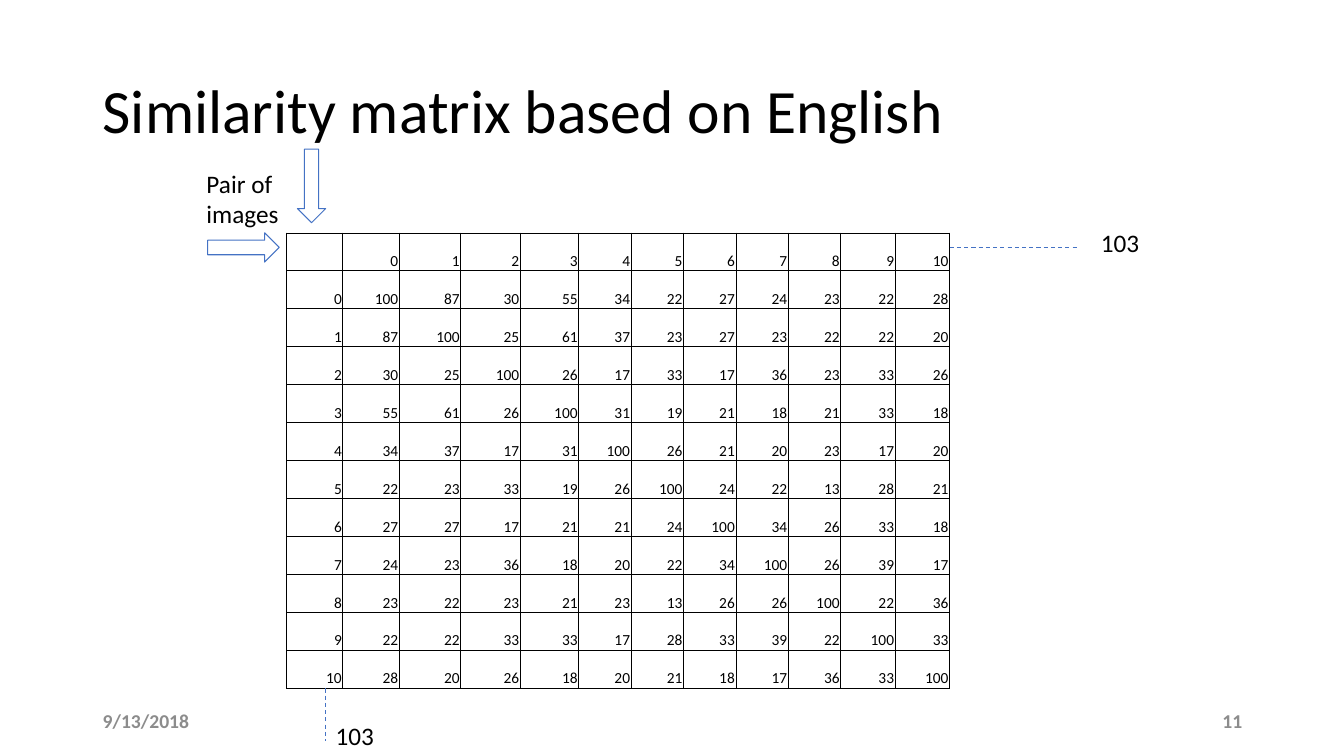
"""Build the slide with the similarity matrix based on English."""
from dataclasses import dataclass

from lxml import etree
from pptx import Presentation
from pptx.dml.color import RGBColor
from pptx.enum.dml import MSO_LINE
from pptx.enum.shapes import MSO_CONNECTOR, MSO_SHAPE
from pptx.enum.text import MSO_ANCHOR, PP_ALIGN
from pptx.oxml.ns import qn
from pptx.slide import Slide
from pptx.table import _Cell
from pptx.text.text import _Paragraph
from pptx.util import Inches, Pt

TOP, MIDDLE, BOTTOM = MSO_ANCHOR.TOP, MSO_ANCHOR.MIDDLE, MSO_ANCHOR.BOTTOM
LEFT, RIGHT = PP_ALIGN.LEFT, PP_ALIGN.RIGHT
RIGHT_ARROW, DOWN_ARROW = MSO_SHAPE.RIGHT_ARROW, MSO_SHAPE.DOWN_ARROW
STRAIGHT, DASH = MSO_CONNECTOR.STRAIGHT, MSO_LINE.DASH

FONT = "Calibri"
COLORS = {"text": "000000", "footer": "8C8C8C", "accent": "4472C4", "border": "000000"}
LINE_WIDTH = Pt(0.75)
BORDER_WIDTH = Pt(0.5)

MATRIX_LEFT, MATRIX_TOP, MATRIX_HEIGHT = 2.84, 2.31, 4.52
COLUMN_WIDTHS = [0.56, 0.56, 0.61, 0.59, 0.58] + [0.52] * 5 + [0.54] * 2
SIMILARITIES = [
    [100, 87, 30, 55, 34, 22, 27, 24, 23, 22, 28],
    [87, 100, 25, 61, 37, 23, 27, 23, 22, 22, 20],
    [30, 25, 100, 26, 17, 33, 17, 36, 23, 33, 26],
    [55, 61, 26, 100, 31, 19, 21, 18, 21, 33, 18],
    [34, 37, 17, 31, 100, 26, 21, 20, 23, 17, 20],
    [22, 23, 33, 19, 26, 100, 24, 22, 13, 28, 21],
    [27, 27, 17, 21, 21, 24, 100, 34, 26, 33, 18],
    [24, 23, 36, 18, 20, 22, 34, 100, 26, 39, 17],
    [23, 22, 23, 21, 23, 13, 26, 26, 100, 22, 36],
    [22, 22, 33, 33, 17, 28, 33, 39, 22, 100, 33],
    [28, 20, 26, 18, 20, 21, 18, 17, 36, 33, 100],
]


@dataclass(frozen=True)
class Label:
    text: str
    left: float
    top: float
    width: float
    height: float
    size: float = 18
    color: str = "text"
    bold: bool = False
    anchor: MSO_ANCHOR = TOP
    align: PP_ALIGN = LEFT
    line_spacing: float = 1.0


@dataclass(frozen=True)
class Arrow:
    kind: MSO_SHAPE
    left: float
    top: float
    width: float
    height: float


@dataclass(frozen=True)
class DashedLine:
    start_x: float
    start_y: float
    end_x: float
    end_y: float


LABELS = [
    Label("Similarity matrix based on English", 0.92, 0.4, 11.5, 1.45,
          size=44, anchor=MIDDLE, line_spacing=0.9),
    Label("9/13/2018", 0.92, 6.95, 3, 0.4,
          size=14, color="footer", bold=True, anchor=MIDDLE),
    Label("11", 9.42, 6.95, 3, 0.4,
          size=14, color="footer", bold=True, anchor=MIDDLE, align=RIGHT),
    Label("Pair of images", 1.95, 1.62, 1.14, 0.71),
    Label("103", 10.82, 2.21, 1, 0.4),
    Label("103", 3.23, 7.1, 1, 0.4),
]
ARROWS = [
    Arrow(RIGHT_ARROW, 2.06, 2.31, 0.71, 0.29),
    Arrow(DOWN_ARROW, 2.95, 1.48, 0.28, 0.73),
]
DASHED_LINES = [
    DashedLine(9.42, 2.46, 10.7, 2.46),
    DashedLine(3.23, 6.83, 3.23, 7.35),
]


def color(name: str) -> RGBColor:
    return RGBColor.from_string(COLORS[name])


def style_paragraph(paragraph: _Paragraph, size: float, color_name: str,
                    bold: bool, align: PP_ALIGN) -> None:
    paragraph.alignment = align
    paragraph.font.name = FONT
    paragraph.font.size = Pt(size)
    paragraph.font.bold = bold
    paragraph.font.color.rgb = color(color_name)


def add_label(slide: Slide, label: Label) -> None:
    shape = slide.shapes.add_textbox(Inches(label.left), Inches(label.top),
                                     Inches(label.width), Inches(label.height))
    frame = shape.text_frame
    frame.word_wrap = True
    frame.vertical_anchor = label.anchor
    paragraph = frame.paragraphs[0]
    paragraph.text = label.text
    paragraph.line_spacing = label.line_spacing
    style_paragraph(paragraph, label.size, label.color, label.bold, label.align)


def add_arrow(slide: Slide, arrow: Arrow) -> None:
    shape = slide.shapes.add_shape(arrow.kind, Inches(arrow.left), Inches(arrow.top),
                                   Inches(arrow.width), Inches(arrow.height))
    shape.shadow.inherit = False
    shape.fill.background()
    shape.line.color.rgb = color("accent")
    shape.line.width = LINE_WIDTH


def add_dashed_line(slide: Slide, line: DashedLine) -> None:
    connector = slide.shapes.add_connector(
        STRAIGHT, Inches(line.start_x), Inches(line.start_y),
        Inches(line.end_x), Inches(line.end_y))
    connector.line.color.rgb = color("accent")
    connector.line.width = LINE_WIDTH
    connector.line.dash_style = DASH
    etree.SubElement(connector._element.spPr, qn("a:effectLst"))


def add_borders(cell: _Cell) -> None:
    properties = cell._tc.get_or_add_tcPr()
    for position, side in enumerate(("a:lnL", "a:lnR", "a:lnT", "a:lnB")):
        border = etree.Element(qn(side), w=str(BORDER_WIDTH))
        fill = etree.SubElement(border, qn("a:solidFill"))
        etree.SubElement(fill, qn("a:srgbClr"), val=COLORS["border"])
        properties.insert(position, border)


def fill_cell(cell: _Cell, value: int | str) -> None:
    cell.margin_left = cell.margin_right = cell.margin_top = Inches(0.01)
    cell.margin_bottom = 0
    cell.vertical_anchor = BOTTOM
    cell.fill.background()
    paragraph = cell.text_frame.paragraphs[0]
    paragraph.text = str(value)
    style_paragraph(paragraph, 11, "text", False, RIGHT)
    add_borders(cell)


def add_matrix(slide: Slide) -> None:
    header = ["", *range(len(SIMILARITIES))]
    rows = [header] + [[index, *values] for index, values in enumerate(SIMILARITIES)]
    frame = slide.shapes.add_table(
        len(rows), len(header), Inches(MATRIX_LEFT), Inches(MATRIX_TOP),
        Inches(sum(COLUMN_WIDTHS)), Inches(MATRIX_HEIGHT))
    table = frame.table
    table.first_row = False
    table.horz_banding = False
    for column, width in zip(table.columns, COLUMN_WIDTHS):
        column.width = Inches(width)
    for row, values in zip(table.rows, rows):
        row.height = Inches(MATRIX_HEIGHT / len(rows))
        for cell, value in zip(row.cells, values):
            fill_cell(cell, value)


def main() -> None:
    presentation = Presentation()
    presentation.slide_width = Inches(13.33)
    presentation.slide_height = Inches(7.5)
    slide = presentation.slides.add_slide(presentation.slide_layouts[6])
    add_matrix(slide)
    for arrow in ARROWS:
        add_arrow(slide, arrow)
    for line in DASHED_LINES:
        add_dashed_line(slide, line)
    for label in LABELS:
        add_label(slide, label)
    presentation.save("out.pptx")


if __name__ == "__main__":
    main()
